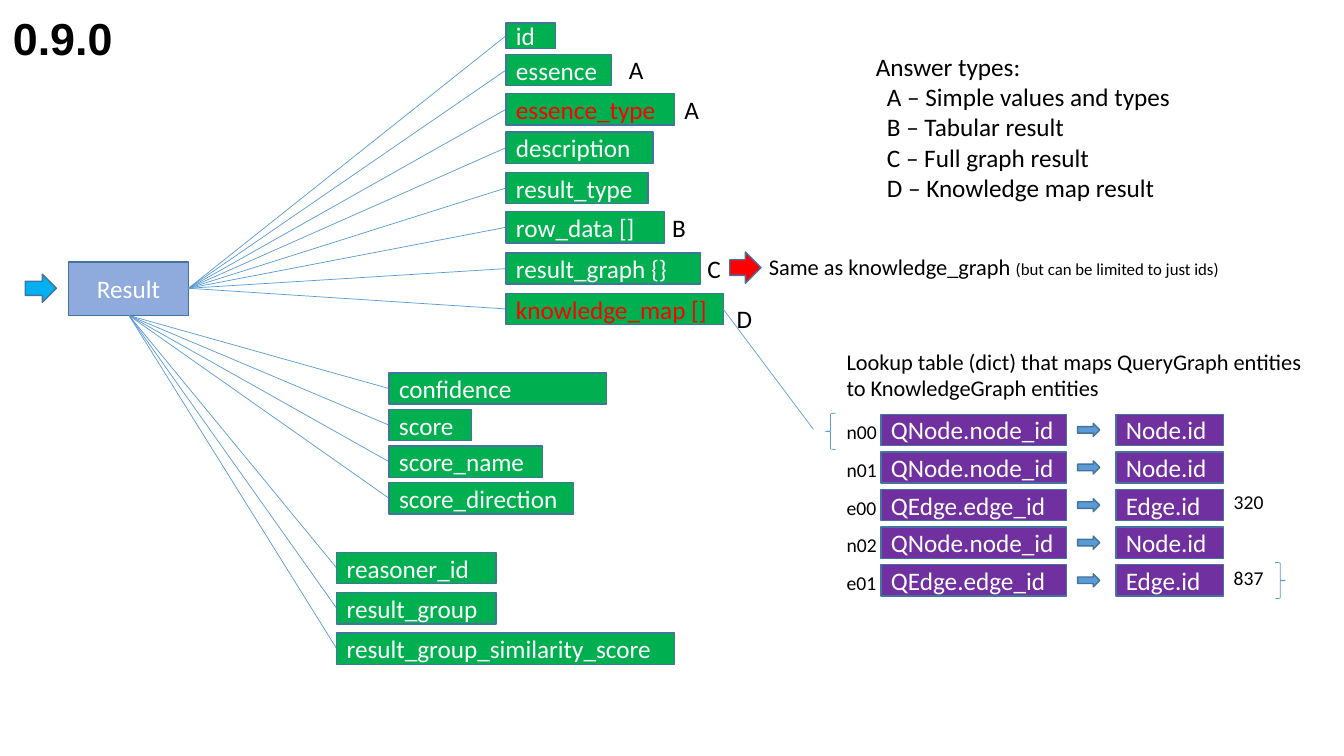
from lxml.etree import SubElement
from pptx import Presentation
from pptx.dml.color import RGBColor
from pptx.enum.shapes import MSO_CONNECTOR, MSO_SHAPE
from pptx.enum.text import MSO_ANCHOR, PP_ALIGN
from pptx.oxml.ns import qn
from pptx.util import Inches, Pt

COLUMNS, ROWS = 133.33, 75
COLORS = {
    "result": "8FAADC", "field": "00B050", "lookup": "7030A0",
    "entry": "00B0F0", "graph": "FF0000", "changed": "FF0000",
    "link": "5B9BD5", "outline": "43739E", "white": "FFFFFF", "black": "000000",
}


class Diagram:
    def __init__(self, deck):
        self.page = deck.slides.add_slide(deck.slide_layouts[6])
        self.column = deck.slide_width / COLUMNS
        self.row = deck.slide_height / ROWS

    def place(self, left, top, width, height):
        return (round(left * self.column), round(top * self.row),
                round(width * self.column), round(height * self.row))

    def color(self, name):
        return RGBColor.from_string(COLORS[name])

    def font(self, paragraph, size, color, name="Calibri", bold=False):
        paragraph.font.size = Pt(size)
        paragraph.font.name = name
        paragraph.font.bold = bold
        paragraph.font.color.rgb = self.color(color)

    def shape(self, kind, area, fill=None, outline="outline", weight=1):
        shape = self.page.shapes.add_shape(kind, *self.place(*area))
        shape.shadow.inherit = False
        if fill:
            shape.fill.solid()
            shape.fill.fore_color.rgb = self.color(fill)
        else:
            shape.fill.background()
        shape.line.color.rgb = self.color(outline)
        shape.line.width = Pt(weight)
        return shape

    def box(self, text, area, fill, color="white", align=PP_ALIGN.LEFT):
        frame = self.shape(MSO_SHAPE.RECTANGLE, area, fill).text_frame
        frame.word_wrap = True
        frame.vertical_anchor = MSO_ANCHOR.MIDDLE
        paragraph = frame.paragraphs[0]
        paragraph.text = text
        paragraph.alignment = align
        self.font(paragraph, 18, color)

    def arrow(self, area, fill):
        self.shape(MSO_SHAPE.RIGHT_ARROW, area, fill)

    def brace(self, kind, left, top):
        self.shape(kind, (left, top, 1, 3.6), outline="link", weight=0.5)

    def text(self, lines, area, size=18, wrap=False, **style):
        frame = self.page.shapes.add_textbox(*self.place(*area)).text_frame
        frame.word_wrap = wrap
        frame.text = lines
        for paragraph in frame.paragraphs:
            self.font(paragraph, size, "black", **style)
        return frame.paragraphs

    def link(self, start, end):
        left, top, right, bottom = self.place(*start, *end)
        line = self.page.shapes.add_connector(
            MSO_CONNECTOR.STRAIGHT, left, top, right, bottom)
        line.line.color.rgb = self.color("link")
        line.line.width = Pt(0.5)
        SubElement(line._element.spPr, qn("a:effectLst"))

    def field(self, text, left, top, width, origin, height=3.1, color="white"):
        self.link((left, top + height / 2), origin)
        self.box(text, (left, top, width, height), "field", color)


deck = Presentation()
deck.slide_width, deck.slide_height = Inches(13.33), Inches(7.5)
diagram = Diagram(deck)

diagram.text("0.9.0", (0.3, 0.6, 19.2, 6.4), 32, True, name="Arial", bold=True)
diagram.arrow((2.5, 27.2, 3.1, 2.8), "entry")
diagram.box("Result", (6.8, 26, 11.9, 5.3), "result", align=PP_ALIGN.CENTER)
result_side, result_bottom = (18.7, 28.6), (12.8, 31.3)

diagram.field("id", 50.2, 2.3, 4.9, result_side, height=2.5)
for name, top, width, color in [
    ("essence", 5.4, 10.5, "white"),
    ("essence_type", 9.3, 16.7, "changed"),
    ("description", 13.1, 14.6, "white"),
    ("result_type", 17.1, 14.1, "white"),
    ("row_data []", 21, 15.7, "white"),
    ("result_graph {}", 25.1, 19.3, "white"),
    ("knowledge_map []", 29.1, 21.6, "changed"),
]:
    diagram.field(name, 50.2, top, width, result_side, color=color)

for left, first_top, step, fields in [
    (38.6, 37, 3.63, [("confidence", 21.6), ("score", 8.2),
                      ("score_name", 15.2), ("score_direction", 18.3)]),
    (33.4, 54.8, 4, [("reasoner_id", 15.8), ("result_group", 15.8),
                     ("result_group_similarity_score", 33.5)]),
]:
    for index, (name, width) in enumerate(fields):
        diagram.field(name, left, first_top + index * step, width, result_bottom)

for letter, left, top in [("A", 61.4, 4.9), ("A", 66.9, 8.9), ("B", 65.7, 20.6),
                          ("C", 69.2, 24.6), ("D", 72.1, 29.6)]:
    diagram.text(letter, (left, top, 3.5, 4))

answers = diagram.text(
    "Answer types:\nA – Simple values and types\nB – Tabular result\n"
    "C – Full graph result\nD – Knowledge map result", (85.9, 4.6, 31.6, 16.2))
for answer in answers[1:]:
    properties = answer._p.get_or_add_pPr()
    properties.set("marL", str(Inches(0.11)))
    properties.set("indent", "0")

diagram.arrow((72.4, 25, 3.1, 3.1), "graph")
same = diagram.text("Same as knowledge_graph ", (75.3, 24.6, 47.2, 3.7), 16)[0]
span = same.add_run()
span.text = "(but can be limited to just ids)"
span.font.size = Pt(12)

diagram.text("Lookup table (dict) that maps QueryGraph entities to KnowledgeGraph entities",
             (83, 34, 48.9, 6.4), 16, True)
diagram.link((71.7, 30.6), (80.7, 42.6))
diagram.brace(MSO_SHAPE.LEFT_BRACE, 81.9, 41)
diagram.brace(MSO_SHAPE.RIGHT_BRACE, 126.5, 55.8)

for index, (code, kind, value) in enumerate([
    ("n00", "Node", ""), ("n01", "Node", ""), ("e00", "Edge", "320"),
    ("n02", "Node", ""), ("e01", "Edge", "837"),
]):
    top = 41.1 + index * 3.73
    diagram.text(code, (83, top + 0.1, 5.1, 3.4), 14)
    diagram.box(f"Q{kind}.{kind.lower()}_id", (87.4, top, 18.4, 3.1), "lookup")
    diagram.arrow((106.9, top + 0.9, 2.2, 1.3), "link")
    diagram.box(f"{kind}.id", (110.7, top, 10.7, 3.1), "lookup")
    if value:
        diagram.text(value, (121.4, top - 0.4, 5, 3.4), 14)

deck.save("out.pptx")
